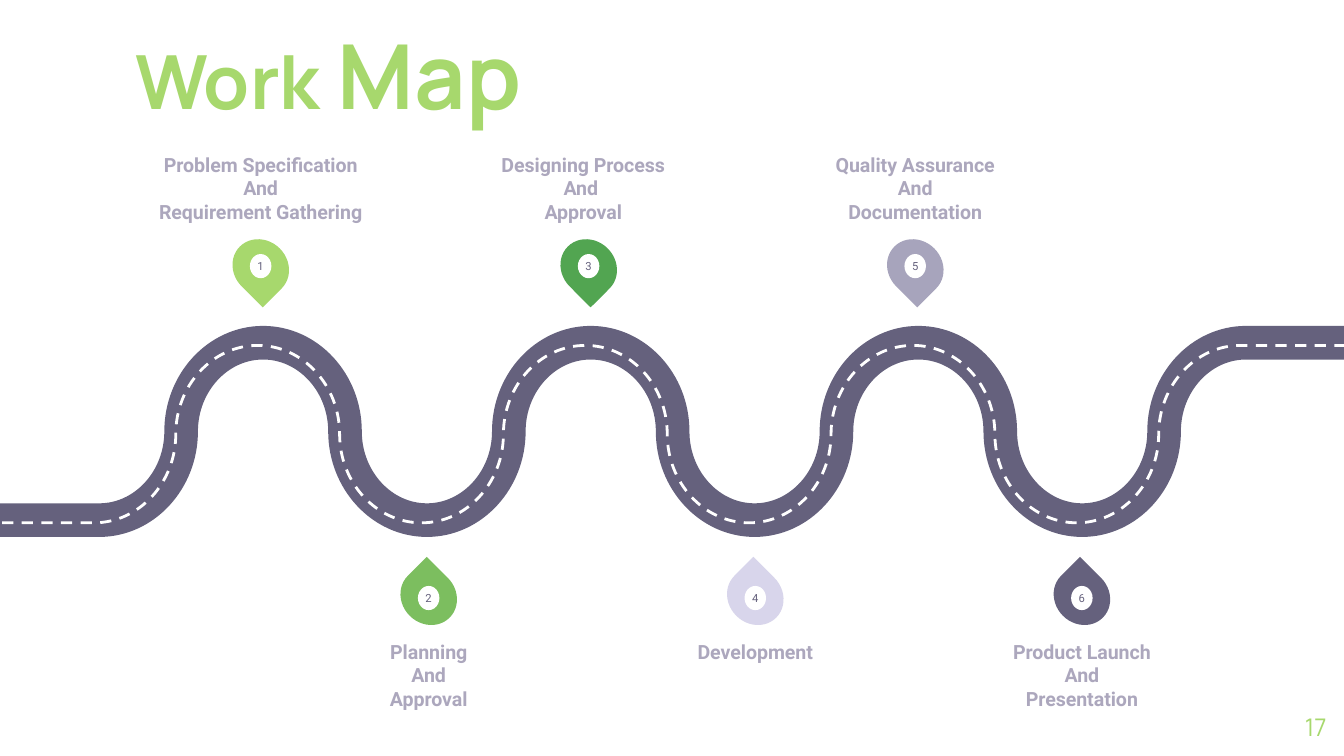
import copy
from dataclasses import dataclass

import pptx
import pptx.dml.color
import pptx.enum.dml
import pptx.enum.shapes
import pptx.enum.text
import pptx.oxml.ns
import pptx.util
from lxml import etree

Inches, Pt = pptx.util.Inches, pptx.util.Pt
ANCHOR = pptx.enum.text.MSO_ANCHOR
ALIGN = pptx.enum.text.PP_ALIGN
SHAPE = pptx.enum.shapes.MSO_SHAPE
qn = pptx.oxml.ns.qn


@dataclass(frozen=True)
class Theme:
    head_font: str = "Manrope"
    body_font: str = "Roboto"
    lime: str = "A7D86D"
    leaf: str = "7CBE5F"
    green: str = "52A551"
    slate: str = "65617D"
    lilac: str = "A7A4BC"
    mist: str = "D8D5EB"
    label: str = "ACA7BD"
    white: str = "FFFFFF"
    title_size: float = 40
    title_big: float = 48
    number_size: float = 13
    label_size: float = 10.5
    pin_size: float = 6
    road_width: float = 18
    dash_width: float = 1.5


T = Theme()

# Number, fill, pin centre, label centre, label lines
UPPER_STEPS = [
    ("1", T.lime, 1.94, 1.94,
     ["Problem Specification", "And", "Requirement Gathering"]),
    ("3", T.green, 4.38, 4.34, ["Designing Process", "And ", "Approval"]),
    ("5", T.lilac, 6.81, 6.81, ["Quality Assurance", "And", "Documentation"]),
]
LOWER_STEPS = [
    ("2", T.leaf, 3.19, 3.19, ["Planning", "And", "Approval"]),
    ("4", T.mist, 5.62, 5.62, ["Development"]),
    ("6", T.slate, 8.05, 8.05, ["Product Launch", "And", "Presentation"]),
]


def rgb(value):
    return pptx.dml.color.RGBColor.from_string(value)


def add_run(p, text, font, size, color, bold=False):
    r = p.add_run()
    r.text = text
    r.font.name, r.font.size, r.font.bold = font, Pt(size), bold
    r.font.color.rgb = rgb(color)


def set_frame(tf, anchor, wrap=True):
    tf.margin_left = tf.margin_right = tf.margin_top = tf.margin_bottom = 0
    tf.word_wrap = wrap
    tf.auto_size = pptx.enum.text.MSO_AUTO_SIZE.NONE
    tf.vertical_anchor = anchor


def add_text(slide, box, lines, anchor, align, style):
    tf = slide.shapes.add_textbox(*map(Inches, box)).text_frame
    set_frame(tf, anchor)
    for i, line in enumerate(lines):
        p = tf.add_paragraph() if i else tf.paragraphs[0]
        p.alignment = align
        add_run(p, line, *style)


def add_title(slide, box):
    title = slide.shapes.title
    title.left, title.top, title.width, title.height = map(Inches, box)
    set_frame(title.text_frame, ANCHOR.BOTTOM)
    p = title.text_frame.paragraphs[0]
    p.alignment = ALIGN.LEFT
    add_run(p, "Work", T.head_font, T.title_size, T.lime, True)
    add_run(p, " Map", T.head_font, T.title_big, T.lime, True)


def add_wave(slide, box, color, width, dash=None):
    """Draw a winding line from the top right to the bottom left of box."""
    left, top, w, h = box
    quarters, lead = 14, 2
    step = w / (quarters + 2 * lead)
    right = left + w
    levels = [0, 0.5, 1, 0.5]
    points = [(right - (lead + i) * step, top + h * levels[i % 4])
              for i in range(quarters + 1)]
    points = [(right, top)] + points + [(left, top + h)]
    points = [(Inches(x), Inches(y)) for x, y in points]
    builder = slide.shapes.build_freeform(*points[0], scale=1.0)
    builder.add_line_segments(points[1:], close=False)
    sp = builder.convert_to_shape()

    # Round each quarter between the two straight ends
    anchors = list(sp.element.iter(qn("a:pt")))
    local = [(int(a.get("x")), int(a.get("y"))) for a in anchors]
    bend = 0.55
    for i in range(quarters):
        (x0, y0), (x1, y1) = local[i + 1:i + 3]
        dx, dy = (x1 - x0) * bend, (y1 - y0) * bend
        if i % 2 == 0:
            controls = [(x0 + dx, y0), (x1, y1 - dy)]
        else:
            controls = [(x0, y0 + dy), (x1 - dx, y1)]
        line = anchors[i + 2].getparent()
        curve = etree.Element(qn("a:cubicBezTo"))
        for x, y in controls + [(x1, y1)]:
            pt = copy.copy(anchors[i + 2])
            pt.set("x", str(round(x)))
            pt.set("y", str(round(y)))
            curve.append(pt)
        line.getparent().replace(line, curve)

    sp.shadow.inherit = False
    sp.fill.background()
    sp.line.color.rgb = rgb(color)
    sp.line.width = Pt(width)
    if dash:
        sp.line.dash_style = dash


def add_solid(slide, kind, cx, cy, w, h, color):
    sp = slide.shapes.add_shape(
        kind, Inches(cx - w / 2), Inches(cy - h / 2), Inches(w), Inches(h))
    sp.shadow.inherit = False
    sp.fill.solid()
    sp.fill.fore_color.rgb = rgb(color)
    sp.line.fill.background()
    return sp


def add_pin(slide, cx, cy, dot_cy, rotation, number, color):
    drop = add_solid(slide, SHAPE.TEAR, cx, cy, 0.4, 0.44, color)
    drop.adjustments[0] = 1
    drop.rotation = rotation
    dot = add_solid(slide, SHAPE.OVAL, cx, dot_cy, 0.16, 0.18, T.white)
    set_frame(dot.text_frame, ANCHOR.MIDDLE, wrap=False)
    p = dot.text_frame.paragraphs[0]
    p.alignment = ALIGN.CENTER
    add_run(p, number, T.body_font, T.pin_size, T.slate)


def add_steps(slide, steps, pin_y, dot_y, rotation, label_top, anchor):
    label_w, label_h = 1.92, 0.7
    style = (T.body_font, T.label_size, T.label, True)
    for number, color, pin_x, label_x, lines in steps:
        add_pin(slide, pin_x, pin_y, dot_y, rotation, number, color)
        box = (label_x - label_w / 2, label_top, label_w, label_h)
        add_text(slide, box, lines, anchor, ALIGN.CENTER, style)


def main():
    prs = pptx.Presentation()
    # Widescreen, 16:9
    prs.slide_width = Inches(10)
    prs.slide_height = prs.slide_width * 9 // 16
    slide = prs.slides.add_slide(prs.slide_layouts[5])

    # Title and page number
    add_title(slide, (1.01, 0.01, 6.89, 0.94))
    add_text(slide, (9.27, 5.19, 0.6, 0.43), ["17"], ANCHOR.MIDDLE,
             ALIGN.RIGHT, (T.head_font, T.number_size, T.lime))

    # Road with the steps above and below it
    add_wave(slide, (-0.48, 2.55, 10.97, 1.32), T.slate, T.road_width)
    add_steps(slide, UPPER_STEPS, 1.99, 1.98, 135, 0.96, ANCHOR.BOTTOM)
    add_steps(slide, LOWER_STEPS, 4.44, 4.45, 315, 4.76, ANCHOR.TOP)

    # Dashed lane marking
    add_wave(slide, (-0.52, 2.57, 10.97, 1.32), T.white, T.dash_width,
             pptx.enum.dml.MSO_LINE.DASH)

    prs.save("out.pptx")


if __name__ == "__main__":
    main()
